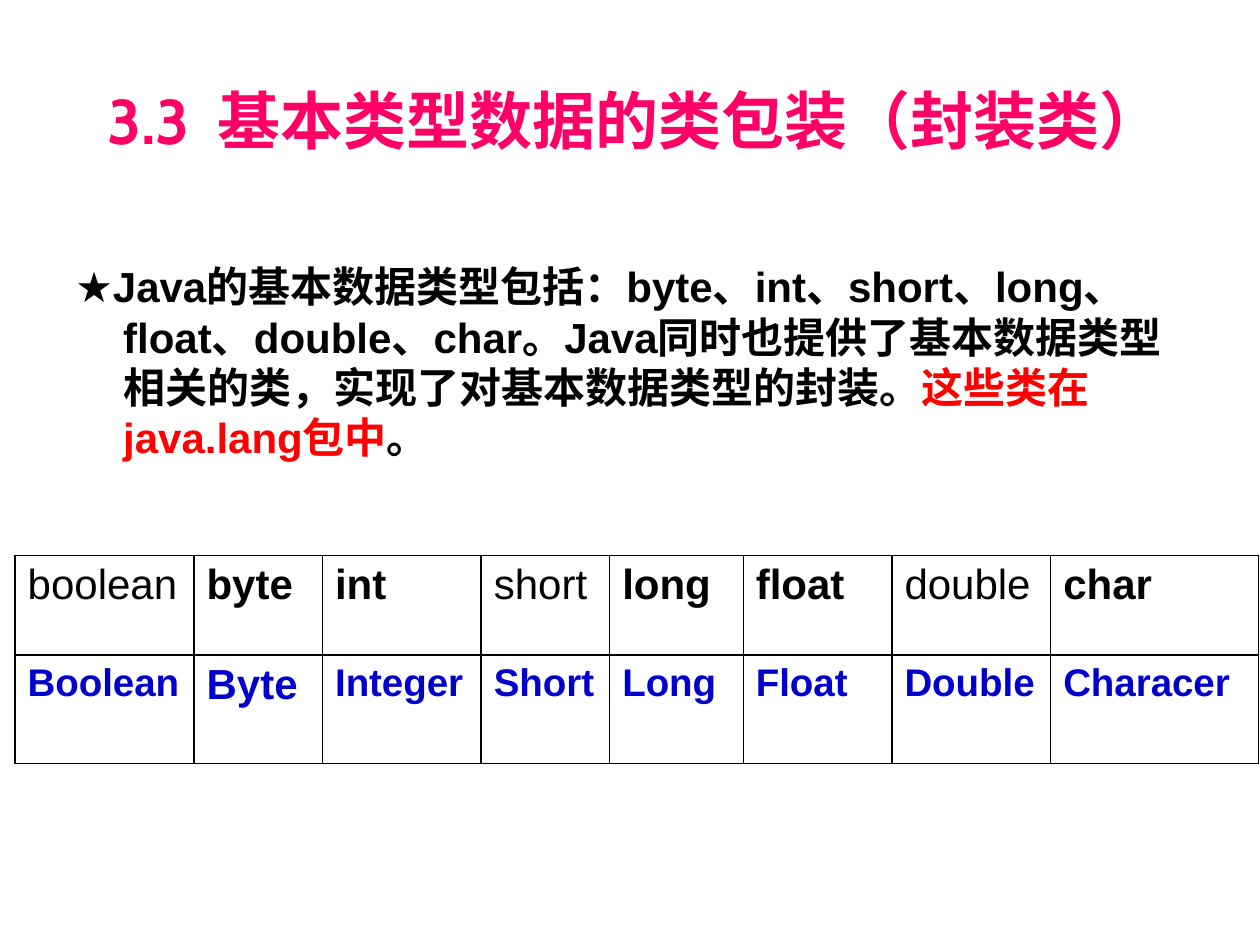
import itertools

import pptx
import pptx.dml.color
import pptx.enum.text
import pptx.oxml
import pptx.oxml.ns
import pptx.util

Inches = pptx.util.Inches

COLORS = {"title": "FF0066", "text": "000000", "accent": "FF0000",
          "wrapper": "0000CC", "border": "000000"}

TITLE = "3.3  基本类型数据的类包装（封装类）"
INTRO = [
    ("★Java的基本数据类型包括：byte、int、short、long、float、double、char。"
     "Java同时也提供了基本数据类型相关的类，实现了对基本数据类型的封装。", "text"),
    ("这些类在java.lang包中", "accent"),
    ("。", "text"),
]
TYPES = [
    ("boolean", "Boolean", 1.42), ("byte", "Byte", 1.02),
    ("int", "Integer", 1.26), ("short", "Short", 1.02),
    ("long", "Long", 1.06), ("float", "Float", 1.18),
    ("double", "Double", 1.26), ("char", "Characer", 1.65),
]
LIGHT_TYPES = {"boolean", "short", "double"}
LARGE_WRAPPERS = {"Byte"}
ROW_HEIGHTS = (0.79, 0.86)


def add_run(paragraph, text, color, size, name="Arial", bold=True):
    run = paragraph.add_run()
    run.text = text
    formats = {"name": name, "size": pptx.util.Pt(size), "bold": bold}
    for attribute, value in formats.items():
        setattr(run.font, attribute, value)
    run.font.color.rgb = pptx.dml.color.RGBColor.from_string(COLORS[color])


def add_text(slide, left, top, width, height):
    frame = slide.shapes.add_textbox(
        Inches(left), Inches(top), Inches(width), Inches(height)).text_frame
    frame.word_wrap = True
    return frame.paragraphs[0]


def is_latin(character):
    return character.isascii() or character == "★"


def set_borders(cell):
    properties = cell._tc.get_or_add_tcPr()
    for position, side in enumerate(("lnL", "lnR", "lnT", "lnB")):
        properties.insert(position, pptx.oxml.parse_xml(
            f'<a:{side} {pptx.oxml.ns.nsdecls("a")} w="12700"><a:solidFill>'
            f'<a:srgbClr val="{COLORS["border"]}"/></a:solidFill></a:{side}>'))


def add_type_table(slide):
    widths = [width for _, _, width in TYPES]
    table = slide.shapes.add_table(
        len(ROW_HEIGHTS), len(TYPES), Inches(0.12), Inches(4.41),
        Inches(sum(widths)), Inches(sum(ROW_HEIGHTS))).table
    table.first_row = table.horz_banding = False
    for row, height in zip(table.rows, ROW_HEIGHTS):
        row.height = Inches(height)
    for index, (primitive, wrapper, width) in enumerate(TYPES):
        table.columns[index].width = Inches(width)
        entries = (
            (primitive, "text", 24, primitive not in LIGHT_TYPES),
            (wrapper, "wrapper", 24 if wrapper in LARGE_WRAPPERS else 22, True),
        )
        for row, (text, color, size, bold) in enumerate(entries):
            cell = table.cell(row, index)
            cell.fill.background()
            set_borders(cell)
            add_run(cell.text_frame.paragraphs[0], text, color, size, bold=bold)


def main():
    deck = pptx.Presentation()
    deck.slide_width, deck.slide_height = Inches(10), Inches(7.5)
    slide = deck.slides.add_slide(deck.slide_layouts[6])

    intro = add_text(slide, 0.5, 2.02, 8.83, 4.65)
    indent = Inches(0.38)
    properties = intro._p.get_or_add_pPr()
    properties.set("marL", str(indent))
    properties.set("indent", str(-indent))
    for passage, color in INTRO:
        for latin, characters in itertools.groupby(passage, is_latin):
            add_run(intro, "".join(characters), color, 24,
                    "Arial" if latin else "Times New Roman")

    title = add_text(slide, 0.75, 0.6, 8.58, 0.71)
    title.alignment = pptx.enum.text.PP_ALIGN.CENTER
    add_run(title, TITLE, "title", 36, "Cabin")

    add_type_table(slide)
    deck.save("out.pptx")


if __name__ == "__main__":
    main()
